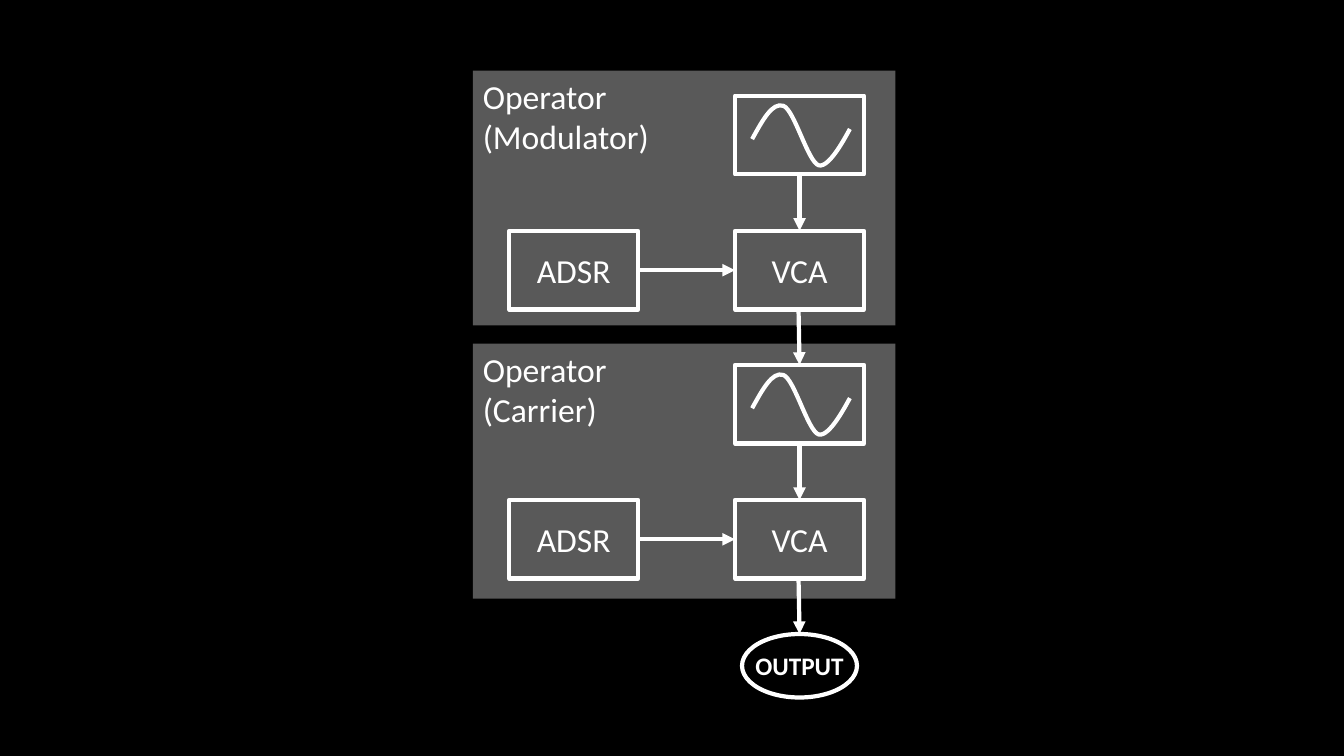
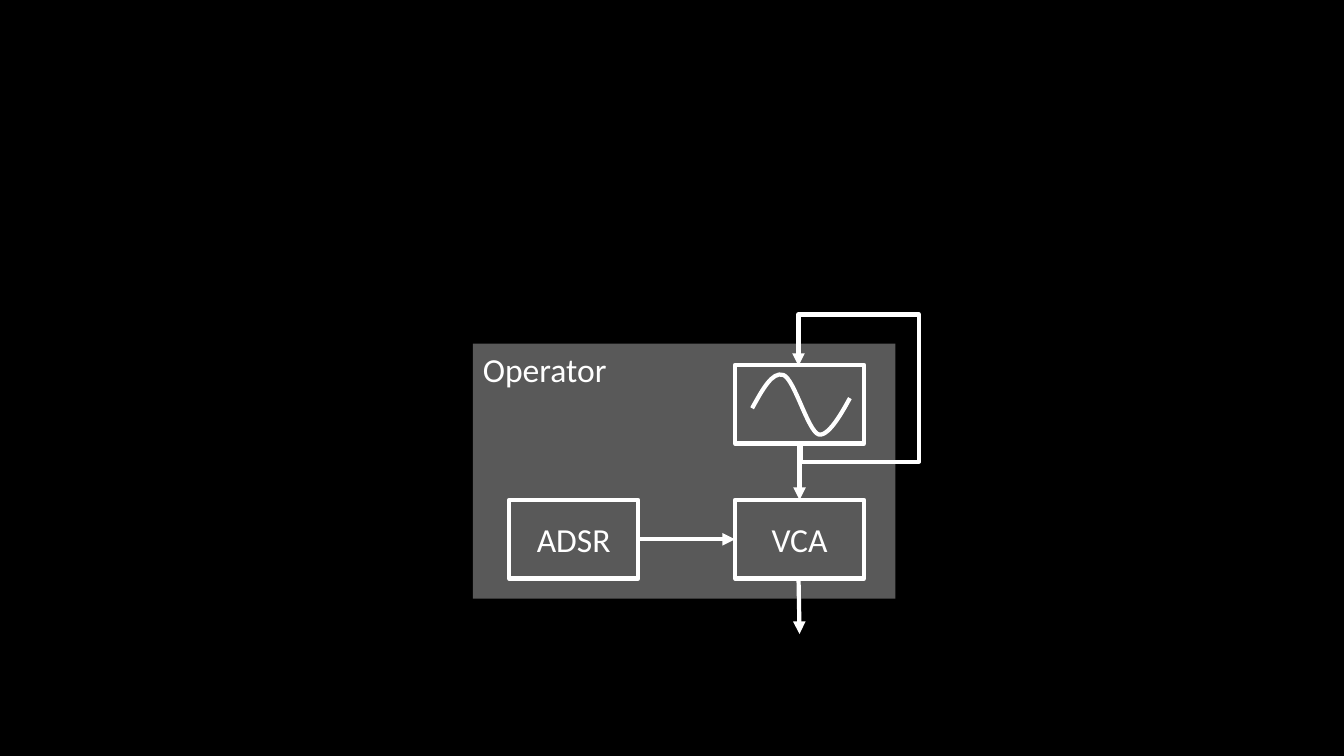
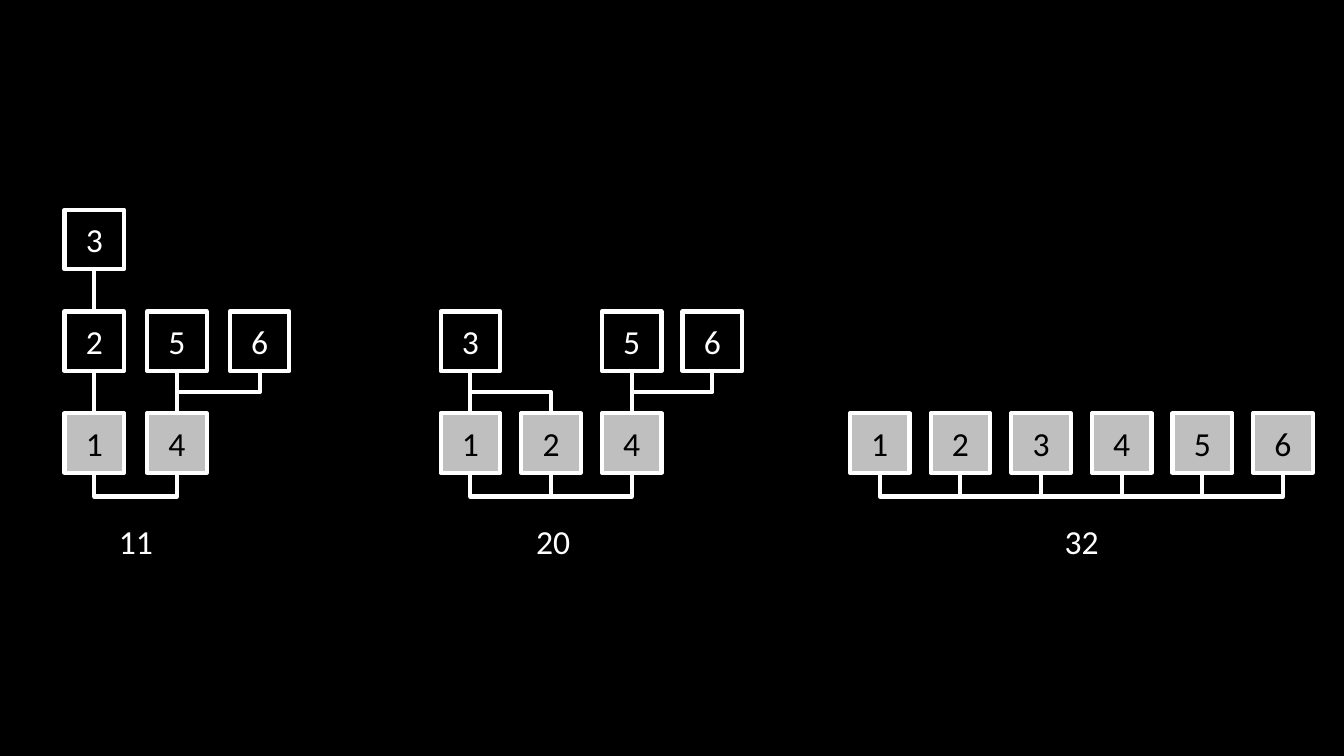
"""Build three slides on operators and algorithms in FM synthesis."""
from dataclasses import dataclass
from itertools import pairwise

from lxml import etree
from pptx import Presentation
from pptx import util as u
from pptx.dml import color
from pptx.enum import shapes, text
from pptx.oxml import ns

BLACK, WHITE, PANEL_GREY, CARRIER_GREY = "000000", "FFFFFF", "595959", "BFBFBF"
FONT = "Calibri"
LINE_WIDTH = u.Pt(3)
UNIT_WIDTH, UNIT_HEIGHT = 1.28, 0.78
VCA_LEFT, ADSR_LEFT, SIGNAL_X = 7.29, 5.05, 7.93
BLOCK_SIZE, ROW_STEP, CARRIER_TOP = 0.59, 1.01, 4.1
WAVE_START = (0, 0.33)
WAVE_CURVES = [
    [(0.1, 0.15), (0.2, -0.04), (0.31, 0)],
    [(0.42, 0.04), (0.55, 0.55), (0.66, 0.59)],
    [(0.77, 0.62), (0.94, 0.28), (0.97, 0.23)],
]

Point = tuple[float, float]


@dataclass(frozen=True)
class Operator:
    title: str
    panel_top: float
    wave_top: float


@dataclass(frozen=True)
class Algorithm:
    number: str
    number_left: float
    left: float
    pitch: float
    blocks: dict[str, tuple[int, int]]
    links: tuple[str, ...] = ()

    def position(self, label: str) -> Point:
        column, level = self.blocks[label]
        return self.left + column * self.pitch, CARRIER_TOP - level * ROW_STEP

    def top_centre(self, label: str) -> Point:
        left, top = self.position(label)
        return left + BLOCK_SIZE / 2, top

    def bottom_centre(self, label: str) -> Point:
        x, top = self.top_centre(label)
        return x, top + BLOCK_SIZE

    def carriers(self) -> list[str]:
        return [label for label, (_, level) in self.blocks.items() if level == 0]


MODULATOR = Operator("Operator\n(Modulator)", 0.7, 0.95)
CARRIER = Operator("Operator\n(Carrier)", 3.41, 3.62)
FEEDBACK = Operator("Operator", 3.41, 3.62)

ALGORITHMS = [
    Algorithm("11", 1.08, 0.64, 0.82,
              {"1": (0, 0), "4": (1, 0), "2": (0, 1), "3": (0, 2), "5": (1, 1), "6": (2, 1)},
              ("32", "21", "54", "64")),
    Algorithm("20", 5.22, 4.37, 0.8,
              {"1": (0, 0), "2": (1, 0), "4": (2, 0), "3": (0, 1), "5": (2, 1), "6": (3, 1)},
              ("31", "32", "54", "64")),
    Algorithm("32", 10.46, 8.43, 0.8, {label: (column, 0) for column, label in enumerate("123456")}),
]


def rgb(value: str) -> color.RGBColor:
    return color.RGBColor.from_string(value)


def style_line(line) -> None:
    line.color.rgb = rgb(WHITE)
    line.width = LINE_WIDTH


def write(shape, content: str, font_color: str = WHITE, size: int = 24,
          align=text.PP_ALIGN.CENTER, anchor=text.MSO_ANCHOR.MIDDLE, bold: bool = False) -> None:
    frame = shape.text_frame
    frame.text = content
    frame.vertical_anchor = anchor
    for paragraph in frame.paragraphs:
        paragraph.alignment = align
        for run in paragraph.runs:
            run.font.name = FONT
            run.font.size = u.Pt(size)
            run.font.bold = bold
            run.font.color.rgb = rgb(font_color)


def add_box(parent, left: float, top: float, width: float, height: float,
            fill: str | None = None, outlined: bool = True, kind=shapes.MSO_SHAPE.RECTANGLE):
    shape = parent.shapes.add_shape(kind, *map(u.Inches, (left, top, width, height)))
    shape.shadow.inherit = False
    if fill:
        shape.fill.solid()
        shape.fill.fore_color.rgb = rgb(fill)
    else:
        shape.fill.background()
    if outlined:
        style_line(shape.line)
    else:
        shape.line.fill.background()
    return shape


def add_line(slide, start: Point, end: Point, arrow: bool = False,
             kind=shapes.MSO_CONNECTOR.STRAIGHT):
    connector = slide.shapes.add_connector(kind, *map(u.Inches, (*start, *end)))
    style_line(connector.line)
    if arrow:
        etree.SubElement(connector.line._get_or_add_ln(), ns.qn("a:tailEnd"), type="triangle")
    etree.SubElement(connector._element.spPr, ns.qn("a:effectLst"))
    return connector


def add_elbow(slide, start: Point, end: Point, bends: list[float],
              rotation: int, arrow: bool = False) -> None:
    """Draw an elbow that leaves vertically; bends alternate between y and x positions."""
    dx, dy = end[0] - start[0], end[1] - start[1]
    middle_x, middle_y = (start[0] + end[0]) / 2, (start[1] + end[1]) / 2
    half_width, half_height = abs(dy) / 2, abs(dx) / 2
    connector = add_line(slide, (middle_x - half_width, middle_y - half_height),
                         (middle_x + half_width, middle_y + half_height),
                         arrow, shapes.MSO_CONNECTOR.ELBOW)
    properties = connector._element.spPr
    transform = properties.find(ns.qn("a:xfrm"))
    clockwise = rotation == 90
    transform.set("rot", str(rotation * 60000))
    transform.set("flipH", str(int((dy < 0) == clockwise)))
    transform.set("flipV", str(int((dx > 0) == clockwise)))
    geometry = properties.find(ns.qn("a:prstGeom"))
    geometry.set("prst", f"bentConnector{len(bends) + 2}")
    guides = geometry.find(ns.qn("a:avLst"))
    for index, bend in enumerate(bends):
        origin, span = (start[0], dx) if index % 2 else (start[1], dy)
        etree.SubElement(guides, ns.qn("a:gd"), name=f"adj{index + 1}",
                         fmla=f"val {round((bend - origin) / span * 100000)}")


def add_oscillator(slide, top: float) -> None:
    """Group a frame with a sine wave made of Bezier curves."""
    group = slide.shapes.add_group_shape()
    add_box(group, VCA_LEFT, top, UNIT_WIDTH, UNIT_HEIGHT)
    wave_left, wave_top = VCA_LEFT + 0.17, top + 0.1

    def place(point: Point) -> tuple[int, int]:
        return u.Inches(wave_left + point[0]), u.Inches(wave_top + point[1])

    builder = group.shapes.build_freeform(*place(WAVE_START))
    builder.add_line_segments([place(curve[-1]) for curve in WAVE_CURVES], close=False)
    wave = builder.convert_to_shape()
    wave.shadow.inherit = False
    wave.fill.background()
    style_line(wave.line)
    for segment, curve in zip(list(wave._element.iter(ns.qn("a:lnTo"))), WAVE_CURVES):
        bezier = etree.Element(ns.qn("a:cubicBezTo"))
        for x, y in curve:
            etree.SubElement(bezier, ns.qn("a:pt"), x=str(u.Inches(x)), y=str(u.Inches(y)))
        segment.getparent().replace(segment, bezier)


def add_operator(slide, operator: Operator) -> None:
    panel = add_box(slide, 4.69, operator.panel_top, 4.19, 2.53, PANEL_GREY, outlined=False)
    write(panel, operator.title, align=text.PP_ALIGN.LEFT, anchor=text.MSO_ANCHOR.TOP)
    add_oscillator(slide, operator.wave_top)
    vca_top = operator.wave_top + 1.34
    for label, left in (("VCA", VCA_LEFT), ("ADSR", ADSR_LEFT)):
        write(add_box(slide, left, vca_top, UNIT_WIDTH, UNIT_HEIGHT), label)
    middle = vca_top + UNIT_HEIGHT / 2
    add_line(slide, (SIGNAL_X, operator.wave_top + UNIT_HEIGHT), (SIGNAL_X, vca_top), arrow=True)
    add_line(slide, (ADSR_LEFT + UNIT_WIDTH, middle), (VCA_LEFT, middle), arrow=True)
    add_line(slide, (SIGNAL_X - 0.01, vca_top + 0.77), (SIGNAL_X, vca_top + 1.33), arrow=True)


def add_algorithm(slide, algorithm: Algorithm) -> None:
    for label, (_, level) in algorithm.blocks.items():
        fill, font_color = (None, WHITE) if level else (CARRIER_GREY, BLACK)
        block = add_box(slide, *algorithm.position(label), BLOCK_SIZE, BLOCK_SIZE, fill)
        write(block, label, font_color)
    for upper, lower in algorithm.links:
        start, end = algorithm.top_centre(lower), algorithm.bottom_centre(upper)
        if algorithm.blocks[upper][0] == algorithm.blocks[lower][0]:
            add_line(slide, end, start)
        else:
            rotation = 90 if end[0] > start[0] else 270
            add_elbow(slide, start, end, [(start[1] + end[1]) / 2], rotation)
    for first, second in pairwise(algorithm.carriers()):
        x, bottom = algorithm.bottom_centre(first)
        add_elbow(slide, (x, bottom - 0.01), algorithm.bottom_centre(second), [bottom + 0.24], 270)
    number = slide.shapes.add_textbox(*map(u.Inches, (algorithm.number_left, 5.12, 0.54, 0.5)))
    write(number, algorithm.number, align=text.PP_ALIGN.LEFT, anchor=text.MSO_ANCHOR.TOP)
    number.text_frame.word_wrap = False
    number.text_frame.auto_size = text.MSO_AUTO_SIZE.SHAPE_TO_FIT_TEXT


def build_stack_slide(slide) -> None:
    for operator in (CARRIER, MODULATOR):
        add_operator(slide, operator)
    output = add_box(slide, 7.36, 6.29, 1.14, 0.63, kind=shapes.MSO_SHAPE.OVAL)
    write(output, "OUTPUT", size=18, bold=True)
    output.text_frame.word_wrap = False


def build_feedback_slide(slide) -> None:
    add_operator(slide, FEEDBACK)
    add_elbow(slide, (7.94, 4.41), (7.92, 3.63), [4.58, 9.11, 3.12], 90, arrow=True)


def build_algorithms_slide(slide) -> None:
    for algorithm in ALGORITHMS:
        add_algorithm(slide, algorithm)


def main() -> None:
    presentation = Presentation()
    presentation.slide_width, presentation.slide_height = u.Inches(13.33), u.Inches(7.5)
    background = presentation.slide_master.background.fill
    background.solid()
    background.fore_color.rgb = rgb(BLACK)
    for build in (build_stack_slide, build_feedback_slide, build_algorithms_slide):
        build(presentation.slides.add_slide(presentation.slide_layouts[6]))
    presentation.save("out.pptx")


main()
